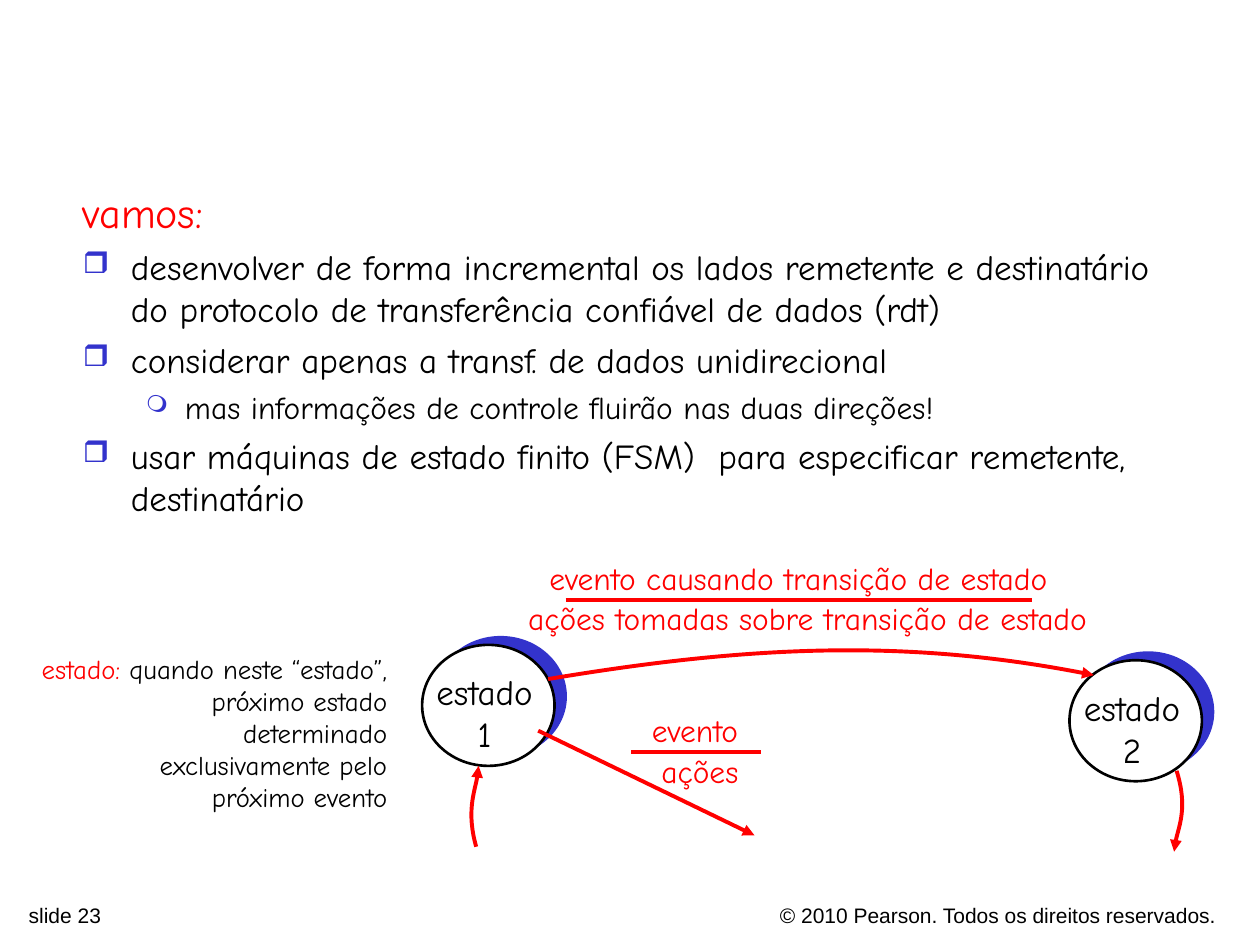
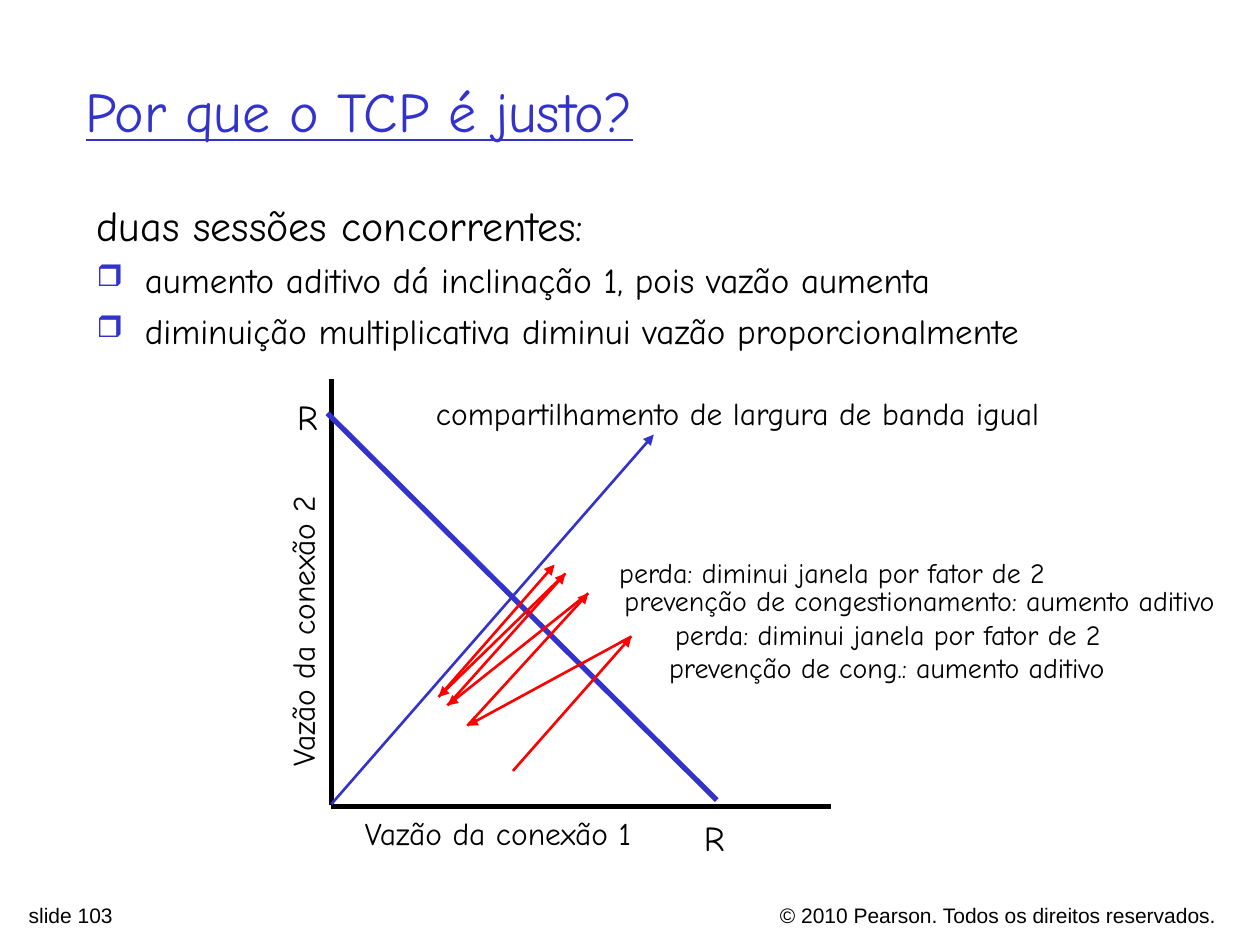
"""Builds two lecture slides: a finite state machine and the fairness of TCP."""
from typing import Any, NamedTuple, Optional

import lxml.etree
import pptx
import pptx.dml.color
import pptx.enum.shapes
import pptx.enum.text
import pptx.oxml.ns
import pptx.util

Cm = pptx.util.Cm
Align = pptx.enum.text.PP_ALIGN
HAND_FONT = "Comic Neue"
FOOTER_FONT = "Arial"
BLACK, WHITE, RED, BLUE = "000000", "FFFFFF", "FF0000", "3333CC"
TITLE_ONLY, BLANK = 5, 6
HANGING = 0.97


class Box(NamedTuple):
    """Left, top, width and height in centimetres."""
    left: float
    top: float
    width: float
    height: float

    def lengths(self) -> list:
        """Return the four sides as lengths."""
        return [Cm(side) for side in self]


class Label(NamedTuple):
    """A centred one-line text."""
    text: str
    box: Box
    size: float
    color: str = BLACK
    wrap: bool = True
    rotation: float = 0


class Segment(NamedTuple):
    """A straight line, with an arrowhead at its end if asked."""
    start: tuple
    end: tuple
    color: str
    width: float
    arrow: bool = False


class Curve(NamedTuple):
    """A cubic curve given by its two ends and two control points."""
    start: tuple
    first_control: tuple
    second_control: tuple
    end: tuple


class State(NamedTuple):
    """A state circle of the machine."""
    name: str
    left: float
    top: float


class BodyStyle(NamedTuple):
    """Format of one level of body text."""
    size: float
    space_before: float
    margin: float = HANGING
    hanging: float = HANGING
    bullet: str = ""
    bullet_percent: int = 100
    level: int = 0


class BodyLine(NamedTuple):
    """A paragraph of body text."""
    text: str
    style: BodyStyle
    color: str = BLACK


HEADING = BodyStyle(24, 6)
ITEM = BodyStyle(20, 5, bullet="❒", bullet_percent=85)
SUBITEM = BodyStyle(18, 4.5, 2.06, 0.79, "❍", 75, 1)


def rgb(color: str) -> pptx.dml.color.RGBColor:
    """Turn a hex string into a colour."""
    return pptx.dml.color.RGBColor.from_string(color)


def add_element(parent: Any, tag: str, **attributes: str) -> Any:
    """Append a drawing element to its parent."""
    return lxml.etree.SubElement(parent, pptx.oxml.ns.qn(tag), attributes)


def write_run(paragraph: Any, text: str, *, size: float, color: str = BLACK,
              font: str = HAND_FONT, underline: bool = False) -> None:
    """Add formatted text to a paragraph, breaking lines at newlines."""
    for number, line in enumerate(text.split("\n")):
        if number:
            paragraph.add_line_break()
        run = paragraph.add_run()
        run.text = line
        run.font.size = pptx.util.Pt(size)
        run.font.name = font
        run.font.underline = underline
        run.font.color.rgb = rgb(color)


def add_frame(shapes: Any, box: Box, wrap: bool = True, rotation: float = 0) -> Any:
    """Add an empty text box and return its text frame."""
    shape = shapes.add_textbox(*box.lengths())
    shape.rotation = rotation
    shape.text_frame.word_wrap = wrap
    return shape.text_frame


def add_label(shapes: Any, label: Label) -> None:
    """Draw a centred label."""
    frame = add_frame(shapes, label.box, label.wrap, label.rotation)
    paragraph = frame.paragraphs[0]
    paragraph.alignment = Align.CENTER
    write_run(paragraph, label.text, size=label.size, color=label.color)


def set_indent(paragraph: Any, margin: float, hanging: float) -> Any:
    """Give a paragraph a hanging indent and return its properties."""
    properties = paragraph._p.get_or_add_pPr()
    properties.set("marL", str(Cm(margin)))
    properties.set("indent", str(-Cm(hanging)))
    return properties


def add_body(slide: Any, box: Box, lines: list) -> None:
    """Draw the body text with its bullets."""
    frame = add_frame(slide.shapes, box)
    for number, line in enumerate(lines):
        style = line.style
        paragraph = frame.add_paragraph() if number else frame.paragraphs[0]
        properties = set_indent(paragraph, style.margin, style.hanging)
        if style.bullet:
            bullet_color = add_element(properties, "a:buClr")
            add_element(bullet_color, "a:srgbClr", val=BLUE)
            add_element(properties, "a:buSzPct", val=str(style.bullet_percent * 1000))
            add_element(properties, "a:buChar", char=style.bullet)
        paragraph.level = style.level
        paragraph.space_before = pptx.util.Pt(style.space_before if number else 0)
        write_run(paragraph, line.text, size=style.size, color=line.color)


def style_line(shape: Any, color: str, width: float, arrow: bool = False) -> None:
    """Set colour, width and arrowhead of a line."""
    shape.line.color.rgb = rgb(color)
    shape.line.width = pptx.util.Pt(width)
    if arrow:
        add_element(shape.line._get_or_add_ln(), "a:tailEnd", type="triangle")


def add_segment(slide: Any, segment: Segment) -> None:
    """Draw a straight line or arrow."""
    ends = [Cm(value) for value in (*segment.start, *segment.end)]
    connector = slide.shapes.add_connector(
        pptx.enum.shapes.MSO_CONNECTOR.STRAIGHT, *ends)
    style_line(connector, segment.color, segment.width, segment.arrow)
    add_element(connector._element.spPr, "a:effectLst")


def add_curve(slide: Any, curve: Curve) -> None:
    """Draw a curved red arrow."""
    start, *others = [(Cm(x), Cm(y)) for x, y in curve]
    builder = slide.shapes.build_freeform(*start)
    builder.add_line_segments(others, close=False)
    shape = builder.convert_to_shape()
    outline = next(shape._element.iter(pptx.oxml.ns.qn("a:path")))
    segments = outline.findall(pptx.oxml.ns.qn("a:lnTo"))
    cubic = add_element(outline, "a:cubicBezTo")
    for segment in segments:
        cubic.append(segment[0])
        outline.remove(segment)
    shape.fill.background()
    shape.shadow.inherit = False
    style_line(shape, RED, 2.25, arrow=True)


def add_circle(shapes: Any, left: float, top: float, fill: str,
               outline: Optional[str] = None) -> None:
    """Draw one disc of a state."""
    shape = shapes.add_shape(pptx.enum.shapes.MSO_SHAPE.OVAL,
                             *Box(left, top, 2.67, 2.44).lengths())
    shape.shadow.inherit = False
    shape.fill.solid()
    shape.fill.fore_color.rgb = rgb(fill)
    if outline:
        style_line(shape, outline, 1.5)
    else:
        shape.line.fill.background()


def add_state(slide: Any, state: State) -> None:
    """Draw a state as a group of two discs and a label."""
    shapes = slide.shapes.add_group_shape().shapes
    add_circle(shapes, state.left + 0.25, state.top - 0.18, BLUE)
    add_circle(shapes, state.left, state.top, WHITE, BLACK)
    frame = add_frame(shapes, Box(state.left + 0.03, state.top + 0.4, 2.46, 1.96), False)
    for paragraph, text in ((frame.paragraphs[0], "estado"),
                            (frame.add_paragraph(), state.name)):
        paragraph.alignment = Align.CENTER
        write_run(paragraph, text, size=20)


def start_slide(presentation: Any, layout: int, number: int) -> Any:
    """Add a slide with its footers."""
    slide = presentation.slides.add_slide(presentation.slide_layouts[layout])
    footers = (
        ("© 2010 Pearson. Todos os direitos reservados.",
         Box(11.79, 18.06, 12.98, 0.61), Align.RIGHT),
        (f"slide {number}", Box(0.33, 18.06, 8.94, 0.61), Align.LEFT),
    )
    for text, box, alignment in footers:
        paragraph = add_frame(slide.shapes, box).paragraphs[0]
        paragraph.alignment = alignment
        write_run(paragraph, text, size=12, font=FOOTER_FONT)
    return slide


def set_title(slide: Any, text: str) -> None:
    """Place and format the title."""
    title = slide.shapes.title
    title.left, title.top, title.width, title.height = Box(1.47, 0.64, 21.59, 3.18).lengths()
    title.text_frame.auto_size = pptx.enum.text.MSO_AUTO_SIZE.NONE
    title.text_frame.vertical_anchor = pptx.enum.text.MSO_ANCHOR.MIDDLE
    paragraph = title.text_frame.paragraphs[0]
    paragraph.alignment = Align.LEFT
    write_run(paragraph, text, size=32, color=BLUE, underline=True)


def build_state_machine(presentation: Any) -> None:
    """Build the slide on the finite state machine."""
    slide = start_slide(presentation, BLANK, 23)
    add_body(slide, Box(1.42, 3.63, 22.81, 7.29), [
        BodyLine("vamos:", HEADING, RED),
        BodyLine("desenvolver de forma incremental os lados remetente e destinatário "
                 "do protocolo de transferência confiável de dados (rdt)", ITEM),
        BodyLine("considerar apenas a transf. de dados unidirecional", ITEM),
        BodyLine("mas informações de controle fluirão nas duas direções!", SUBITEM),
        BodyLine("usar máquinas de estado finito (FSM)  para especificar remetente, "
                 "destinatário", ITEM),
    ])
    for state in (State("1", 8.51, 13), State("2", 21.56, 13.31)):
        add_state(slide, state)
    for curve in (
        Curve((11.05, 13.69), (15.16, 13), (18.44, 12.88), (22.05, 13.61)),
        Curve((9.6, 17.07), (9.4, 16.36), (9.65, 15.7), (9.65, 15.44)),
        Curve((23.72, 15.54), (23.95, 16.28), (23.67, 16.92), (23.67, 17.17)),
    ):
        add_curve(slide, curve)
    for text, box in (
        ("evento causando transição de estado", Box(10.8, 11.15, 10.59, 1.02)),
        ("ações tomadas sobre transição de estado", Box(10.36, 11.96, 11.84, 1.02)),
        ("evento", Box(12.88, 14.2, 2.26, 1.02)),
        ("ações", Box(13.08, 15.04, 2.06, 1.02)),
    ):
        add_label(slide.shapes, Label(text, box, 18, RED, wrap=False))
    for start, end, arrow in (
        ((11.4, 12.09), (20.8, 12.09), False),
        ((10.85, 14.73), (15.21, 16.84), True),
        ((12.73, 15.16), (15.34, 15.16), False),
    ):
        add_segment(slide, Segment(start, end, RED, 2.25, arrow))
    note = add_frame(slide.shapes, Box(0.36, 13.03, 7.7, 3.43)).paragraphs[0]
    note.alignment = Align.RIGHT
    set_indent(note, HANGING, HANGING)
    write_run(note, "estado:", size=15.3, color=RED)
    write_run(note, " quando neste “estado”, próximo estado determinado\n"
              "exclusivamente pelo próximo evento", size=15.3)


def build_fairness(presentation: Any) -> None:
    """Build the slide on the fairness of TCP."""
    slide = start_slide(presentation, TITLE_ONLY, 103)
    set_title(slide, "Por que o TCP é justo?")
    add_body(slide, Box(1.7, 3.89, 23.06, 12.9), [
        BodyLine("duas sessões concorrentes:", HEADING),
        BodyLine("aumento aditivo dá inclinação 1, pois vazão aumenta", ITEM),
        BodyLine("diminuição multiplicativa diminui vazão proporcionalmente", ITEM),
    ])
    window_path = [(10.34, 15.54), (12.73, 12.83), (9.42, 14.63), (11.86, 11.96),
                   (9.02, 14.22), (11.4, 11.56), (8.84, 14.05), (11.18, 11.38)]
    segments = [
        Segment((6.68, 16.26), (16.76, 16.26), BLACK, 3),
        Segment((6.68, 16.23), (6.68, 7.65), BLACK, 3),
        Segment((6.68, 16.21), (13.18, 8.76), BLUE, 1.5, True),
        Segment((6.6, 8.33), (14.45, 16.13), BLUE, 3),
    ]
    segments += [Segment(start, end, RED, 1.5, True)
                 for start, end in zip(window_path, window_path[1:])]
    for segment in segments:
        add_segment(slide, segment)
    loss = "perda: diminui janela por fator de 2"
    for label in (
        Label("R", Box(5.64, 7.85, 1.12, 1.12), 20),
        Label("R", Box(13.84, 16.33, 1.12, 1.12), 20),
        Label("compartilhamento de largura de banda igual", Box(7.72, 7.82, 14.3, 1.02), 18),
        Label("Vazão da conexão 1", Box(5.11, 16.28, 9.86, 1.02), 18),
        Label("Vazão da conexão 2", Box(1.17, 12.22, 9.86, 1.02), 18, rotation=270),
        Label("prevenção de cong.: aumento aditivo", Box(11.58, 12.98, 12.6, 0.94), 16),
        Label(loss, Box(13.34, 12.32, 9.12, 0.94), 16, wrap=False),
        Label("prevenção de congestionamento: aumento aditivo",
              Box(11.68, 11.63, 13.72, 0.94), 16),
        Label(loss, Box(11.68, 11.07, 10.19, 0.94), 16),
    ):
        add_label(slide.shapes, label)


def main() -> None:
    """Build and save the presentation."""
    presentation = pptx.Presentation()
    presentation.slide_width, presentation.slide_height = Cm(25.4), Cm(19.05)
    build_state_machine(presentation)
    build_fairness(presentation)
    presentation.save("out.pptx")


if __name__ == "__main__":
    main()
